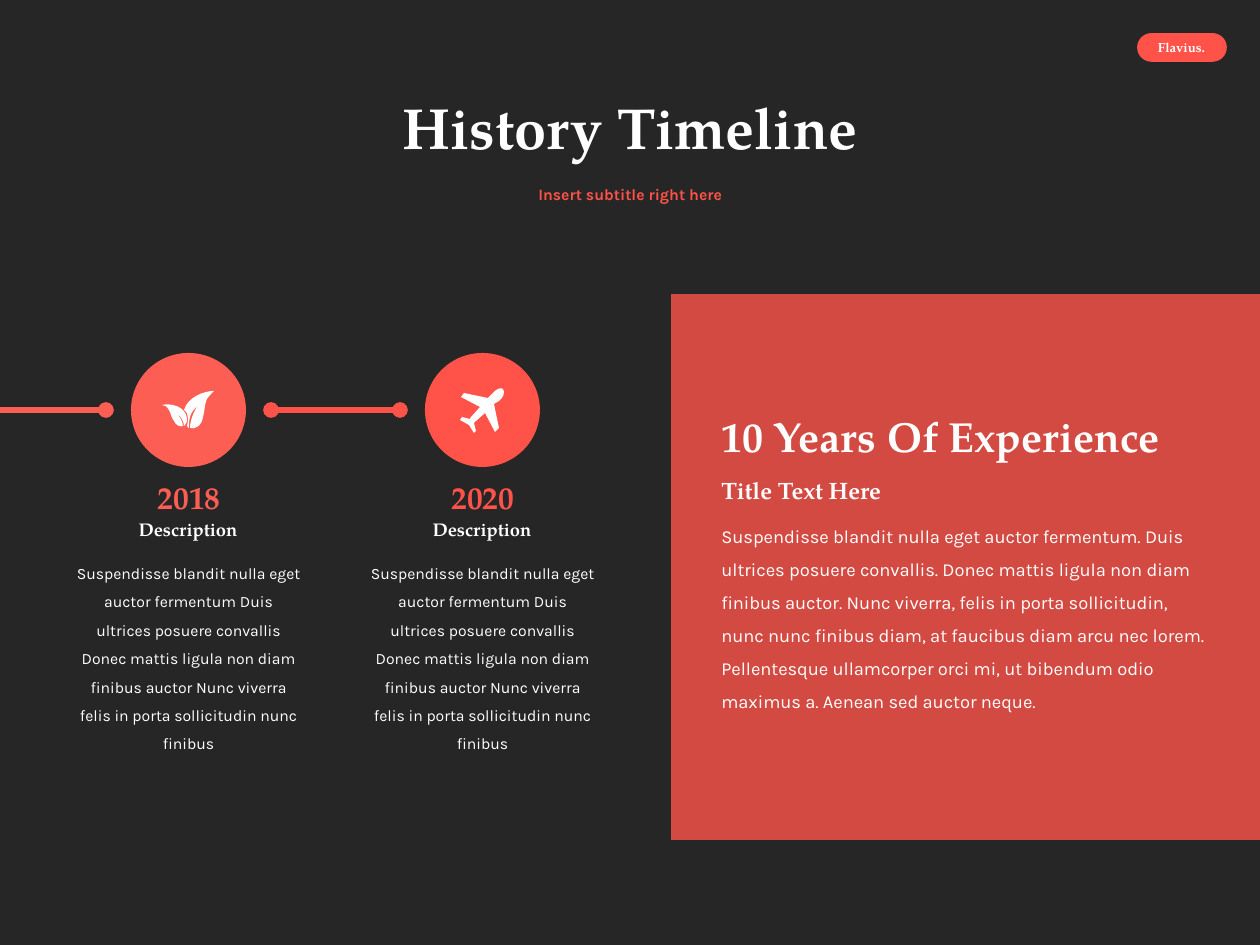
from dataclasses import dataclass

from lxml.etree import SubElement
from pptx import Presentation
from pptx.dml.color import RGBColor
from pptx.enum.shapes import MSO_CONNECTOR, MSO_SHAPE as Shape
from pptx.enum.text import MSO_ANCHOR as Anchor, MSO_AUTO_SIZE as AutoSize, PP_ALIGN as Align
from pptx.oxml.ns import qn
from pptx.slide import Slide
from pptx.util import Pt

PX = 914400 / 126
COLORS = {"dark": "262626", "white": "FFFFFF", "red": "FF5349", "coral": "FD5E53"}
SERIF, SANS = "TeX Gyre Pagella", "Karla"
COLUMN_STEP = 294

# Outlines in px: a pair is a straight step, six numbers are a Bézier step.
PLANE = [
    (503, 389), (501, 387, 496, 389, 493, 393), (488, 398), (464, 393), (461, 397),
    (480, 407), (471, 417), (471, 417, 470, 418, 470, 419), (462, 417), (460, 420),
    (469, 425), (474, 433), (476, 431), (474, 423), (474, 422, 475, 422, 476, 421),
    (485, 413), (495, 432), (499, 428), (494, 404), (499, 401),
    (504, 397, 505, 392, 503, 389),
]
SMALL_LEAF = [
    (162, 405), (165, 405, 168, 407, 169, 410), (171, 413, 171, 417, 174, 421),
    (176, 426, 181, 427, 183, 426), (183, 422, 180, 416, 175, 412),
    (181, 416, 184, 421, 184, 426), (184, 426, 188, 423, 187, 418),
    (185, 406, 171, 403, 162, 405),
]
LARGE_LEAF = [
    (184, 410), (187, 412, 188, 415, 188, 418), (188, 421, 188, 423, 187, 426),
    (187, 427, 189, 428, 189, 428), (189, 418, 190, 412, 198, 406),
    (193, 412, 190, 422, 190, 428), (194, 430, 202, 426, 203, 417),
    (205, 411, 204, 406, 207, 399), (209, 396, 212, 393, 214, 391),
    (204, 391, 188, 397, 184, 410),
]

MILESTONES = [
    ("2018", "coral", [SMALL_LEAF, LARGE_LEAF]),
    ("2020", "red", [PLANE]),
]
MILESTONE_TEXT = (
    "Suspendisse blandit nulla eget auctor fermentum Duis ultrices posuere convallis "
    "Donec mattis ligula non diam finibus auctor Nunc viverra felis in porta "
    "sollicitudin nunc finibus"
)
PANEL_TEXT = (
    "Suspendisse blandit nulla eget auctor fermentum. Duis ultrices posuere convallis. "
    "Donec mattis ligula non diam finibus auctor. Nunc viverra, felis in porta "
    "sollicitudin, nunc nunc finibus diam, at faucibus diam arcu nec lorem. "
    "Pellentesque ullamcorper orci mi, ut bibendum odio maximus a. Aenean sed auctor neque."
)


def emu(*lengths):
    return [round(length * PX) for length in lengths]


def rgb(color):
    return RGBColor.from_string(COLORS[color])


@dataclass
class Painter:
    slide: Slide
    text_color: str = "white"
    line_width: float = 3

    def fill(self, shape, color, opacity=100):
        shape.shadow.inherit = False
        shape.fill.solid()
        shape.fill.fore_color.rgb = rgb(color)
        shape.line.fill.background()
        if opacity < 100:
            tint = shape.fill._xPr.find(".//" + qn("a:srgbClr"))
            SubElement(tint, qn("a:alpha"), val=str(opacity * 1000))

    def shape(self, kind, box, color, opacity=100):
        shape = self.slide.shapes.add_shape(kind, *emu(*box))
        self.fill(shape, color, opacity)
        return shape

    def icon(self, outline, color="white"):
        """Build the outline from its end points, then bend its Bézier steps."""
        ends = [step[-2:] for step in outline]
        left, top = (min(values) for values in zip(*ends))
        builder = self.slide.shapes.build_freeform(*ends[0], scale=PX)
        builder.add_line_segments(ends[1:], close=True)
        icon = builder.convert_to_shape()
        segments = list(icon._element.iter(qn("a:lnTo")))
        for segment, step in zip(segments, outline[1:]):
            if len(step) == 6:
                curve = segment.makeelement(qn("a:cubicBezTo"))
                for x, y in zip(step[::2], step[1::2]):
                    SubElement(curve, qn("a:pt"), x=str(x - left), y=str(y - top))
                segment.getparent().replace(segment, curve)
        self.fill(icon, color)

    def link(self, left, right, y, color):
        """Draw a horizontal line with a dot at each end."""
        link = self.slide.shapes.add_connector(MSO_CONNECTOR.STRAIGHT, *emu(left, y, right, y))
        link.line.color.rgb = rgb(color)
        link.line.width = Pt(self.line_width)
        for end in ("a:headEnd", "a:tailEnd"):
            SubElement(link.line._ln, qn(end), type="oval")
        SubElement(link._element.spPr, qn("a:effectLst"))

    def text(self, words, box, size, font=SERIF, color=None, bold=True,
             align=Align.CENTER, spacing=None, middle=False):
        frame = self.slide.shapes.add_textbox(*emu(*box)).text_frame
        frame.word_wrap = True
        frame.auto_size = AutoSize.NONE if middle else AutoSize.SHAPE_TO_FIT_TEXT
        frame.vertical_anchor = Anchor.MIDDLE if middle else Anchor.TOP
        paragraph = frame.paragraphs[0]
        paragraph.text = words
        paragraph.alignment = align
        if spacing:
            paragraph.line_spacing = spacing
        paragraph.font.name = font
        paragraph.font.size = Pt(size)
        paragraph.font.bold = bold
        paragraph.font.color.rgb = rgb(color or self.text_color)

    def milestone(self, x, year, color, icons):
        self.link(x - 23, x + 106, 410, color)
        self.shape(Shape.OVAL, (x + 131, 353, 115, 114), color)
        self.text(MILESTONE_TEXT, (x + 64, 548, 249, 181), 9, SANS, bold=False, spacing=1.5)
        self.text(year, (x + 118, 472, 142, 50), 18, color=color)
        self.text("Description", (x + 101, 512, 174, 35), 10.5)
        for outline in icons:
            self.icon(outline)


def main():
    deck = Presentation()
    deck.slide_width, deck.slide_height = emu(1260, 945)
    slide = deck.slides.add_slide(deck.slide_layouts[6])
    slide.background.fill.solid()
    slide.background.fill.fore_color.rgb = rgb("dark")
    painter = Painter(slide)

    badge = painter.shape(Shape.ROUNDED_RECTANGLE, (1138, 34, 88, 27), "red")
    badge.adjustments[0] = 0.5
    badge.line.color.rgb = rgb("red")
    badge.line.width = Pt(1)
    painter.text("Flavius.", (1142, 33, 79, 29), 7.5)

    painter.text("History Timeline", (275, 66, 710, 130), 33, spacing=0.9, middle=True)
    painter.text("Insert subtitle right here", (275, 171, 710, 48), 9, SANS, "red",
                 spacing=0.9, middle=True)

    painter.shape(Shape.RECTANGLE, (671, 294, 589, 546), "red", opacity=80)
    for column, (year, color, icons) in enumerate(MILESTONES):
        painter.milestone(column * COLUMN_STEP, year, color, icons)

    painter.text(PANEL_TEXT, (709, 508, 514, 176), 10.5, SANS, bold=False,
                 align=Align.LEFT, spacing=1.5)
    painter.text("Title Text Here", (709, 470, 229, 42), 13.5, align=Align.LEFT)
    painter.text("10 Years Of Experience", (709, 404, 514, 63), 24, align=Align.LEFT)
    deck.save("out.pptx")


if __name__ == "__main__":
    main()
